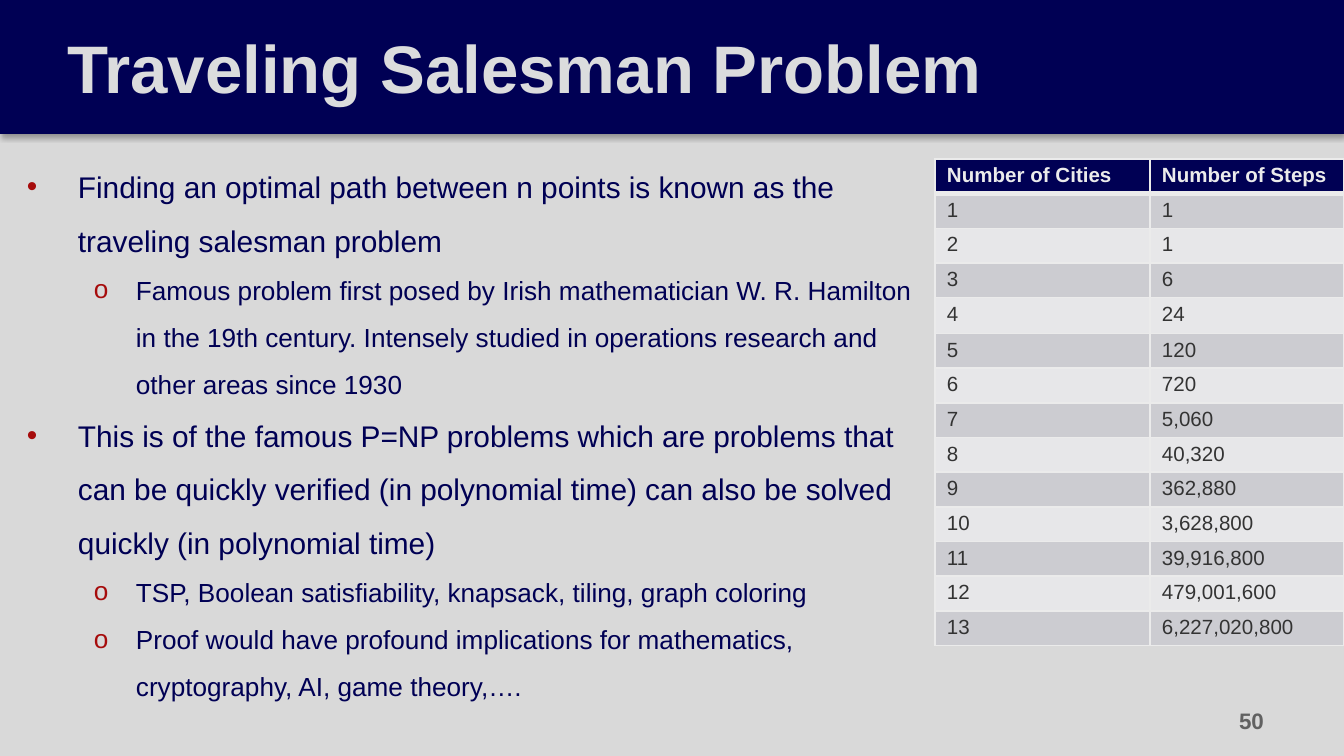
"""Builds a slide on the traveling salesman problem with a table of step counts."""
from lxml import etree
from pptx import Presentation
from pptx import util as u
from pptx.dml.color import RGBColor
from pptx.enum import shapes, text
from pptx.oxml import parse_xml
from pptx.oxml.ns import nsdecls, qn

NAVY = RGBColor(0x00, 0x00, 0x54)
PAPER = RGBColor(0xD9, 0xD9, 0xD9)
TITLE = RGBColor(0xDB, 0xDC, 0xDD)
RED = RGBColor(0xA6, 0x0C, 0x0C)
RULE = RGBColor(0xEB, 0xEB, 0xEB)
BANDS = RGBColor(0xCC, 0xCC, 0xD1), RGBColor(0xE7, 0xE7, 0xE9)
INK = RGBColor(0x33, 0x33, 0x33)
GREY = RGBColor(0x61, 0x61, 0x61)

POINTS = [
    (0, "Finding an optimal path between n points is known as the traveling salesman problem"),
    (1, "Famous problem first posed by Irish mathematician W. R. Hamilton in the 19th century. "
        "Intensely studied in operations research and other areas since 1930"),
    (0, "This is of the famous P=NP problems which are problems that can be quickly verified "
        "(in polynomial time) can also be solved quickly (in polynomial time)"),
    (1, "TSP, Boolean satisfiability, knapsack, tiling, graph coloring"),
    (1, "Proof would have profound implications for mathematics, cryptography, AI, game theory,…."),
]
LEVELS = [("•", 51, -51, 16), ("o", 109, -42, 14)]
HEADER = ["Number of Cities", "Number of Steps"]
STEPS = ["1", "1", "6", "24", "120", "720", "5,060", "40,320", "362,880", "3,628,800",
         "39,916,800", "479,001,600", "6,227,020,800"]


def px(length):
    """Turn px into EMU."""
    return u.Inches(length / 134.4)


class SlideBuilder:
    """Holds the style and the current slide."""

    font = "Arial"

    def __init__(self, deck):
        self.page = deck.slides.add_slide(deck.slide_layouts[6])
        self.page.background.fill.solid()
        self.page.background.fill.fore_color.rgb = PAPER

    def span(self, para, words, size, color, bold=False):
        """Add one run."""
        span = para.add_run()
        span.text = words
        span.font.name = self.font
        span.font.size = u.Pt(size)
        span.font.color.rgb = color
        span.font.bold = bold

    def bar(self, left, top, width, height):
        """Add the title band with its soft shadow."""
        bar = self.page.shapes.add_shape(
            shapes.MSO_SHAPE.RECTANGLE, px(left), px(top), px(width), px(height))
        bar.fill.solid()
        bar.fill.fore_color.rgb = NAVY
        bar.line.color.rgb = NAVY
        bar.line.width = u.Pt(0.75)
        bar.shadow.inherit = False
        effects = bar._element.spPr.find(qn("a:effectLst"))
        effects.append(parse_xml(
            f'<a:outerShdw {nsdecls("a")} blurRad="40000" dist="23000" dir="5400000" '
            'rotWithShape="0"><a:srgbClr val="000000"><a:alpha val="35000"/>'
            '</a:srgbClr></a:outerShdw>'))

    def box(self, left, top, width, height, inset, anchor=text.MSO_ANCHOR.MIDDLE):
        """Add an empty wrapping text box and return its frame."""
        box = self.page.shapes.add_textbox(px(left), px(top), px(width), px(height))
        frame = box.text_frame
        frame.word_wrap = True
        frame.vertical_anchor = anchor
        frame.margin_left = frame.margin_right = px(inset)
        frame.margin_top = frame.margin_bottom = px(inset)
        return frame

    def label(self, frame, words, size, color, align):
        """Write one bold line in a frame."""
        para = frame.paragraphs[0]
        para.alignment = align
        self.span(para, words, size, color, True)

    def bullets(self, frame, points):
        """Write bulleted paragraphs on two levels."""
        for index, (level, words) in enumerate(points):
            para = frame.add_paragraph() if index else frame.paragraphs[0]
            mark, margin, indent, size = LEVELS[level]
            para.level = level
            para.line_spacing = 1.5
            para.space_before = para.space_after = u.Pt(0)
            props = para._p.get_or_add_pPr()
            props.set("marL", str(px(margin)))
            props.set("indent", str(px(indent)))
            color = etree.SubElement(props, qn("a:buClr"))
            etree.SubElement(color, qn("a:srgbClr"), val=str(RED))
            etree.SubElement(props, qn("a:buFont"), typeface=self.font)
            etree.SubElement(props, qn("a:buChar"), char=mark)
            self.span(para, words, size, NAVY)

    def cell(self, cell, words, fill, color, bold, bottom):
        """Fill one table cell and rule its sides."""
        cell.margin_left = cell.margin_right = px(12)
        cell.margin_top = cell.margin_bottom = px(5)
        self.span(cell.text_frame.paragraphs[0], words, 11, color, bold)
        props = cell._tc.get_or_add_tcPr()
        for side, width in (("L", 1), ("R", 1), ("T", 1), ("B", bottom)):
            line = etree.SubElement(props, qn(f"a:ln{side}"), w=str(u.Pt(width)))
            paint = etree.SubElement(line, qn("a:solidFill"))
            etree.SubElement(paint, qn("a:srgbClr"), val=str(RULE))
        cell.fill.solid()
        cell.fill.fore_color.rgb = fill

    def table(self, left, top, widths, heights, rows):
        """Add a table with a header row and alternating bands."""
        table = self.page.shapes.add_table(
            len(rows), len(widths), px(left), px(top), px(sum(widths)), px(sum(heights))).table
        for column, width in zip(table.columns, widths):
            column.width = px(width)
        for index, (row, height, values) in enumerate(zip(table.rows, heights, rows)):
            row.height = px(height)
            head = index == 0
            fill = NAVY if head else BANDS[(index - 1) % 2]
            bottom = 3 if index == 0 else 1
            for cell, words in zip(row.cells, values):
                self.cell(cell, words, fill, RULE if head else INK, head, bottom)


def main():
    """Build and save the slide."""
    deck = Presentation()
    deck.slide_width, deck.slide_height = px(1344), px(756)
    slide = SlideBuilder(deck)

    slide.bar(0, 0, 1344, 133)
    title = slide.box(54, 0, 1160, 133, 13)
    slide.label(title, "Traveling Salesman Problem", 36, TITLE, text.PP_ALIGN.LEFT)

    body = slide.box(0, 124, 950, 558, 27, text.MSO_ANCHOR.TOP)
    slide.bullets(body, POINTS)

    rows = [HEADER] + [[str(cities), steps] for cities, steps in enumerate(STEPS, 1)]
    heights = [36 if cities == "4" else 33 for cities, _ in rows]
    slide.table(935, 159, [215, 194], heights, rows)

    number = slide.box(964, 700, 313, 41, 13)
    slide.label(number, "50", 12, GREY, text.PP_ALIGN.RIGHT)
    deck.save("out.pptx")


if __name__ == "__main__":
    main()
